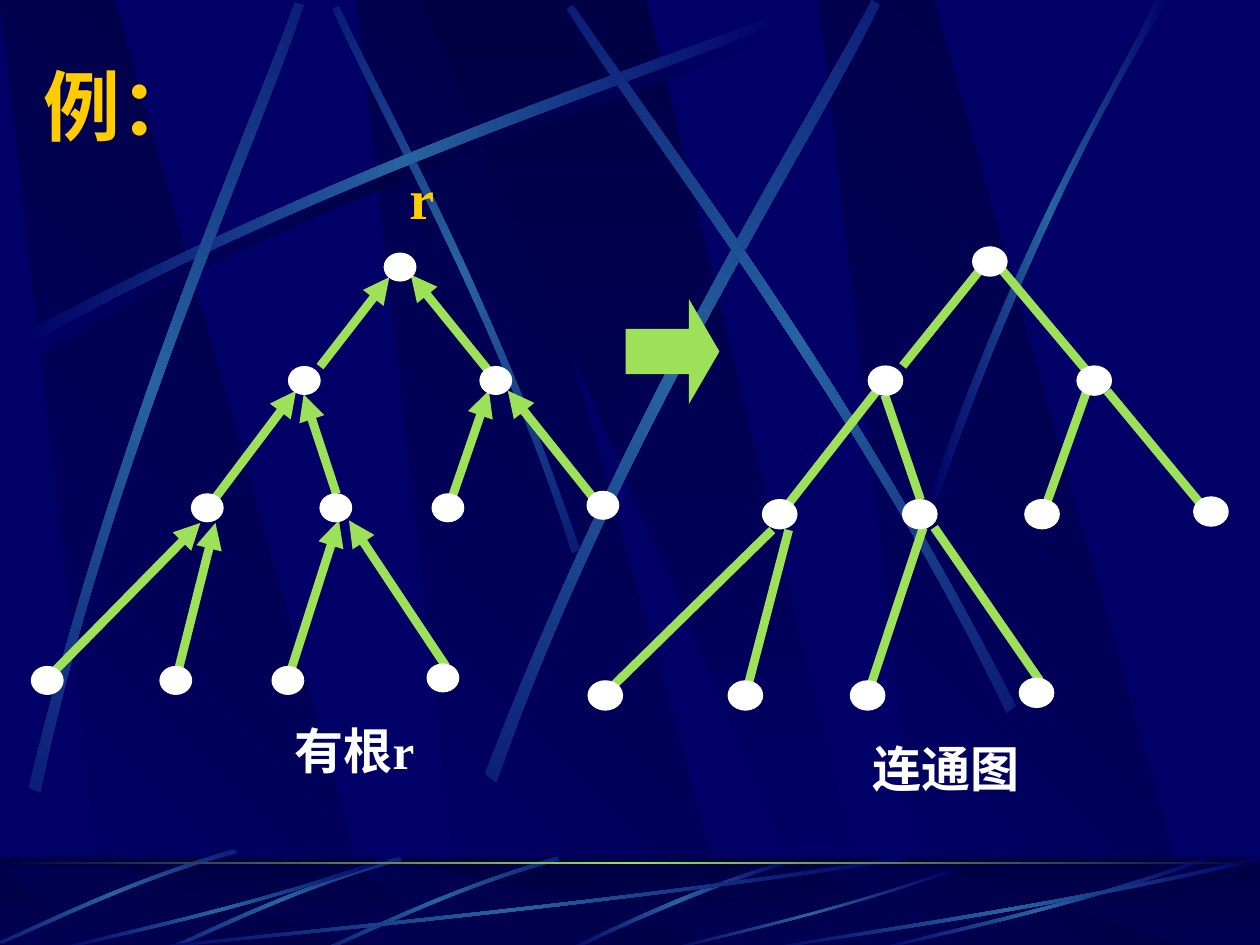
import copy
import math

import pptx
import pptx.dml.color
import pptx.enum.shapes
import pptx.enum.text
import pptx.oxml
import pptx.oxml.ns
import pptx.util

COLORS = {
    "night": "000066", "shade": "000044", "beam": "2663A0",
    "green": "9CE157", "gold": "FFCC00", "white": "FFFFFF",
}
RGB = {name: pptx.dml.color.RGBColor.from_string(code) for name, code in COLORS.items()}
SHAPE = pptx.enum.shapes.MSO_SHAPE
NS = pptx.oxml.ns.nsdecls("a")
qn = pptx.oxml.ns.qn

deck = pptx.Presentation()
deck.slide_width = pptx.util.Inches(10)
deck.slide_height = pptx.util.Inches(7.5)
slide = deck.slides.add_slide(deck.slide_layouts[6])
slide.background.fill.solid()
slide.background.fill.fore_color.rgb = RGB["night"]

# The slide is a grid of 10 columns by 7.5 rows.
COL = deck.slide_width / 10
ROW = deck.slide_height / 7.5


def shade(shape, names, angle):
    """Give a shape a borderless linear gradient, angle clockwise in degrees."""
    shape.shadow.inherit = False
    shape.line.fill.background()
    shape.fill.gradient()
    shape.fill.gradient_angle = (360 - angle) % 360
    stop_list = shape._element.spPr.find(".//" + qn("a:gsLst"))
    if len(names) == 3:
        stop_list.insert(1, copy.deepcopy(stop_list[0]))
    for i, (stop, name) in enumerate(zip(shape.fill.gradient_stops, names)):
        stop.position = i / (len(names) - 1)
        stop.color.rgb = RGB[name]


def outline(points):
    """Draw a closed outline through points on the grid."""
    corners = [(round(x * COL), round(y * ROW)) for x, y in points]
    builder = slide.shapes.build_freeform(*corners[0], scale=1.0)
    builder.add_line_segments(corners[1:], close=True)
    return builder.convert_to_shape()


BEAM = ("night", "beam", "night")
SHADOW = ("night", "shade", "night")

# Each beam: colours, rotation, (column, row) shift, two Bezier edges.
long_beam = [(0.14, 2.67), (2.78, 1.25), (5.18, 0.51), (6.2, 0.1),
             (6.23, 0.16), (5.22, 0.61), (2.48, 1.43), (0.17, 2.77)]
short_streak = [(4.42, 6.8), (3.55, 7.05), (2.87, 7.4), (2.56, 7.53),
                (2.57, 7.55), (2.88, 7.43), (3.65, 7.03), (4.44, 6.83)]
low_streak = [(3.08, 6.83), (1.93, 7.23), (0.88, 7.44), (0.43, 7.55),
              (0.42, 7.54), (0.86, 7.41), (2.06, 7.18), (3.07, 6.8)]
upper_beams = [
    (SHADOW, 0, (0.06, 0.08), long_beam),
    (BEAM, 45, (0, 0), [(4.6, 4.36), (3.91, 2.34), (3.02, 0.77), (2.69, 0.05),
                        (2.64, 0.07), (2.95, 0.79), (3.98, 2.58), (4.54, 4.39)]),
    (BEAM, 0, (0, 0), long_beam),
    (BEAM, 311.7, (0, 0), [(0.23, 6.25), (0.93, 3.34), (1.97, 1.05), (2.34, 0.02),
                           (2.41, 0.04), (2.07, 1.09), (0.86, 3.68), (0.32, 6.29)]),
    (BEAM, 321.6, (0, 0), [(3.85, 6.14), (4.98, 3.2), (6.38, 1.02), (6.92, 0),
                           (6.98, 0.04), (6.49, 1.08), (4.86, 3.55), (3.94, 6.21)]),
    (BEAM, 34.8, (0, 0), [(8.06, 5.6), (6.7, 2.93), (5.16, 0.95), (4.55, 0.04),
                          (4.5, 0.07), (5.07, 1.01), (6.85, 3.25), (7.99, 5.66)]),
    (BEAM, 0, (0, 0), [(7.38, 3.94), (8.14, 1.73), (8.88, 0.66), (9.17, 0),
                       (9.27, 0), (8.36, 1.45), (7.69, 3.22), (7.44, 3.97)]),
]
panel_beams = [
    (BEAM, 0, (0, 0), [(6.27, 6.82), (5.37, 7.09), (4.77, 7.42), (4.48, 7.54),
                       (4.53, 7.55), (4.9, 7.37), (5.71, 7), (6.28, 6.85)]),
    (BEAM, 314.9, (0, 0), short_streak),
    (BEAM, 314.9, (-1.25, 0), short_streak),
    (BEAM, 314.9, (-2.56, -0.06), short_streak),
    (BEAM, 0, (0, 0), [(7.17, 6.83), (4.49, 7.23), (2.06, 7.44), (1.03, 7.55),
                       (1, 7.54), (2.02, 7.41), (4.8, 7.18), (7.14, 6.8)]),
    (BEAM, 0, (0, 0), low_streak),
    (BEAM, 0, (0, 0), [(7.58, 6.91), (6.58, 7.26), (5.67, 7.45), (5.28, 7.55),
                       (5.27, 7.54), (5.65, 7.43), (6.69, 7.22), (7.57, 6.89)]),
    (BEAM, 0, (6.5, 0), low_streak),
    (BEAM, 0, (0, 0), [(10, 6.83), (8.27, 7.23), (6.69, 7.44), (6.02, 7.55),
                       (6, 7.54), (6.66, 7.41), (8.46, 7.18), (9.98, 6.8)]),
]

# Backdrop: slanted slabs and beams, first over the slide, then over the bottom panel.
panel_box = (0, round(6.8 * ROW), round(10 * COL), round(0.75 * ROW))
for top, bottom, beams in ((0, 7.52, upper_beams), (6.88, 7.55, panel_beams)):
    if top:
        shade(slide.shapes.add_shape(SHAPE.RECTANGLE, *panel_box), ("shade", "night"), 90)
    for left in (2.83, 0, 6.5):
        slab = outline([(left + 0.86, bottom), (left + 3.02, bottom),
                        (left + 0.91, top), (left, top)])
        shade(slab, ("shade", "night"), 135)
    wide_slab = outline([(3.33, top), (6.58, bottom), (6.94, bottom), (5.13, top)])
    shade(wide_slab, ("shade", "night"), 90)
    if top:
        veil = slide.shapes.add_shape(SHAPE.RECTANGLE, *panel_box)
        veil.shadow.inherit = False
        veil.line.fill.background()
        veil.fill.solid()
        veil.fill.fore_color.rgb = RGB["shade"]
        tint = veil._element.spPr.find(".//" + qn("a:srgbClr"))
        tint.append(pptx.oxml.parse_xml(f'<a:alpha {NS} val="50000"/>'))
    for names, angle, (dx, dy), edges in beams:
        # Lay the beam flat, then turn it about its own centre.
        cos, sin = math.cos(math.radians(angle)), math.sin(math.radians(angle))
        beam = outline([((x + dx) * cos + (y + dy) * sin, (y + dy) * cos - (x + dx) * sin)
                        for x, y in edges])
        mid_x, mid_y = beam.left + beam.width / 2, beam.top + beam.height / 2
        beam.left = round(mid_x * cos - mid_y * sin - beam.width / 2)
        beam.top = round(mid_x * sin + mid_y * cos - beam.height / 2)
        beam.rotation = angle
        shade(beam, names, 0)
        segments = beam._element.spPr.findall(".//" + qn("a:lnTo"))
        for edge in (segments[:3], segments[4:]):
            bezier = pptx.oxml.parse_xml(f"<a:cubicBezTo {NS}/>")
            edge[0].addprevious(bezier)
            for segment in edge:
                bezier.append(segment[0])
                segment.getparent().remove(segment)

rule = slide.shapes.add_shape(SHAPE.RECTANGLE, 0, round(6.84 * ROW),
                              round(10 * COL), round(0.02 * ROW))
shade(rule, ("shade", "green", "shade"), 0)

# Both trees share one plan, given as offsets from the root node's corner.
branches = [  # child end, parent end
    ((-0.51, 0.9), (0.04, 0.19)), ((0.89, 1.01), (0.21, 0.17)),
    ((-1.4, 2.02), (-0.7, 1.09)), ((-0.38, 1.91), (-0.64, 1.12)),
    ((1.65, 1.93), (0.98, 1.09)), ((0.51, 2.02), (0.83, 1.09)),
    ((-2.67, 3.37), (-1.46, 2.14)), ((-1.65, 3.37), (-1.34, 2.14)),
    ((-0.76, 3.37), (-0.36, 2.12)), ((0.49, 3.28), (-0.28, 2.12)),
]
nodes = [(0, 0), (-0.76, 0.9), (0.76, 0.9), (-1.53, 1.91), (0.38, 1.91), (-0.51, 1.91),
         (1.61, 1.89), (-2.8, 3.28), (-0.89, 3.28), (-1.78, 3.28), (0.34, 3.26)]
trees = [  # root corner, horizontal and vertical scale, directed
    (3.05, 2.01, 1, 1, True),
    (7.72, 1.96, 1.09, 1.05, False),
]
for root_x, root_y, wide, tall, directed in trees:
    for ends in branches:
        child, parent = [(round((root_x + x * wide) * COL), round((root_y + y * tall) * ROW))
                         for x, y in ends]
        branch = slide.shapes.add_connector(
            pptx.enum.shapes.MSO_CONNECTOR.STRAIGHT, *child, *parent)
        branch.line.color.rgb = RGB["green"]
        branch.line.width = pptx.util.Pt(5)
        if directed:
            branch.line._get_or_add_ln().append(
                pptx.oxml.parse_xml(f'<a:tailEnd {NS} type="triangle"/>'))
        branch._element.spPr.append(pptx.oxml.parse_xml(f"<a:effectLst {NS}/>"))
    for x, y in nodes:
        node = slide.shapes.add_shape(
            SHAPE.OVAL, round((root_x + x * wide) * COL), round((root_y + y * tall) * ROW),
            round(0.25 * wide * COL), round(0.22 * tall * ROW))
        node.shadow.inherit = False
        node.fill.solid()
        node.fill.fore_color.rgb = node.line.color.rgb = RGB["white"]
        node.line.width = pptx.util.Pt(0.75)

becomes = slide.shapes.add_shape(SHAPE.RIGHT_ARROW, round(5 * COL), round(2.5 * ROW),
                                 round(0.67 * COL), round(0.58 * ROW))
becomes.shadow.inherit = False
becomes.adjustments[0], becomes.adjustments[1] = 0.5, 0.29
becomes.fill.solid()
becomes.fill.fore_color.rgb = becomes.line.color.rgb = RGB["green"]
becomes.line.width = pptx.util.Pt(5)
becomes.line._get_or_add_ln().append(pptx.oxml.parse_xml(f'<a:miter {NS} lim="800000"/>'))

SANS, TIMES = "Noto Sans CJK SC", "Times New Roman"
TOP, MIDDLE = pptx.enum.text.MSO_ANCHOR.TOP, pptx.enum.text.MSO_ANCHOR.MIDDLE
captions = [  # left, top, width, height, anchor, size, colour, wrap, (text, font) runs
    (0.25, 0.41, 8.5, 0.84, MIDDLE, 44, "gold", True, [("例：", "Montserrat")]),
    (3.15, 1.25, 0.4, 0.64, TOP, 32, "gold", False, [("r", TIMES)]),
    (2.24, 5.67, 1.38, 0.57, TOP, 28, "white", True, [("有根", SANS), ("r", TIMES)]),
    (6.83, 5.81, 1.5, 0.57, TOP, 28, "white", True, [("连通图", SANS)]),
]
for left, top, width, height, anchor, size, color, wrap, runs in captions:
    frame = slide.shapes.add_textbox(round(left * COL), round(top * ROW),
                                     round(width * COL), round(height * ROW)).text_frame
    frame.word_wrap = wrap
    frame.vertical_anchor = anchor
    paragraph = frame.paragraphs[0]
    paragraph.font.size = pptx.util.Pt(size)
    paragraph.font.bold = True
    paragraph.font.color.rgb = RGB[color]
    for text, font in runs:
        run = paragraph.add_run()
        run.text = text
        run.font.name = font
        run.font._element.append(pptx.oxml.parse_xml(f'<a:ea {NS} typeface="{font}"/>'))

deck.save("out.pptx")
